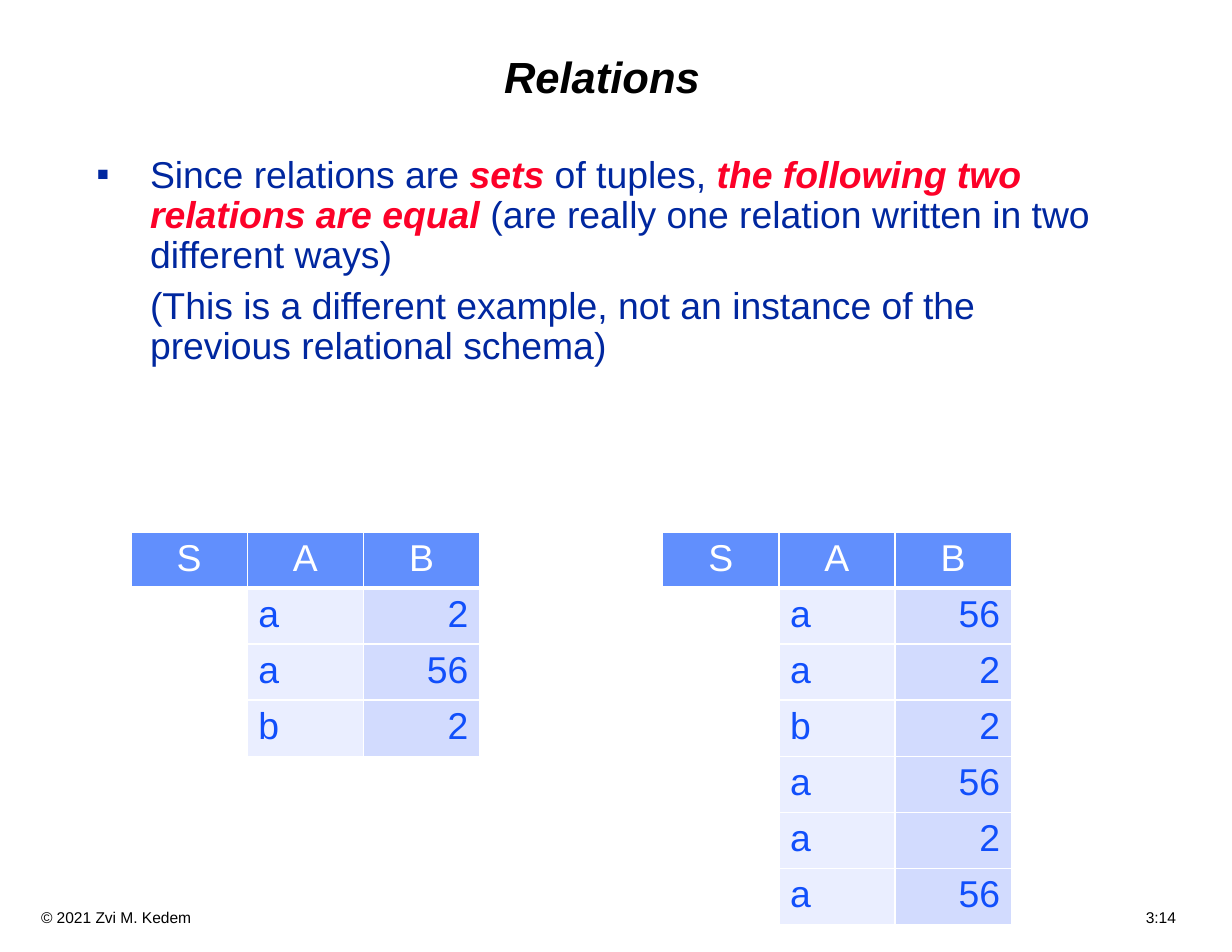
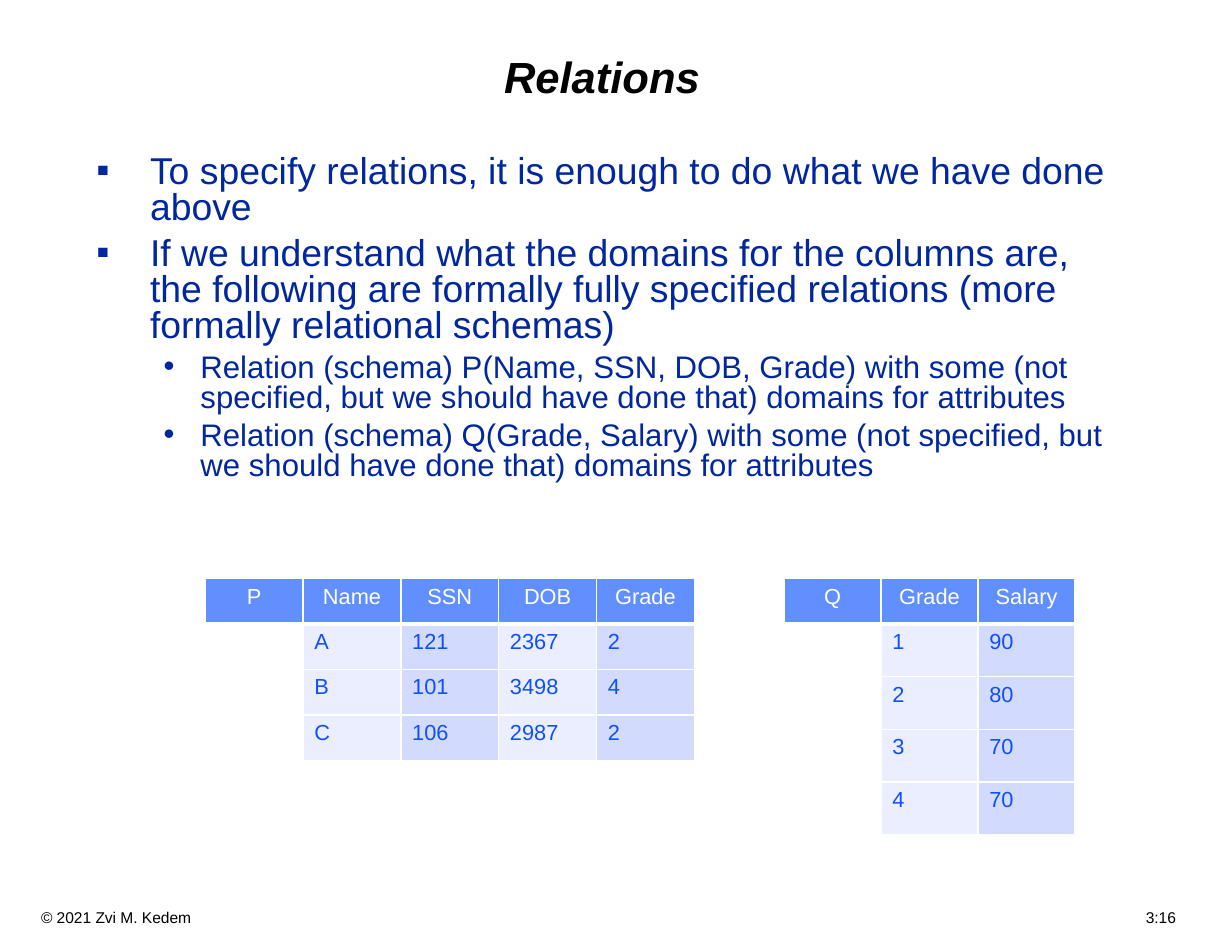
from pptx import Presentation
from pptx.dml.color import RGBColor as RGB
from pptx.enum.text import MSO_ANCHOR as Anchor, MSO_AUTO_SIZE as Auto, PP_ALIGN as Align
from pptx.oxml.ns import qn
from pptx.util import Pt
from lxml.etree import SubElement as Sub

HUES = {"black": "000000", "white": "FFFFFF", "navy": "00279F", "red": "FC0128",
        "head": "618FFD", "cell": "114FFB", "pale": "EAEEFF", "band": "D2DBFE"}
FRAME = {"margin_left": Pt(7.92), "margin_right": Pt(7.92), "margin_top": Pt(4.32),
         "margin_bottom": Pt(4.32), "word_wrap": True, "auto_size": Auto.NONE}

# kind of paragraph: level, left margin, indent, bullet, size
KINDS = {"main": (0, 34.56, -34.56, "▪", 24),
         "plain": (0, 34.56, 0, None, 24),
         "sub": (1, 66.96, -23.76, "•", 20)}

SLIDES = [
    {"page": "3:14", "lead": 0.9, "size": 24,
     "body": [
         ("main", ["Since relations are ", "*sets", " of tuples, ",
                   "*the following two relations are equal",
                   " (are really one relation written in two different ways)"]),
         ("plain", ["(This is a different example, not an instance of the "
                    "previous relational schema)"])],
     "top": 342, "right": 2,
     "tables": [
         (84.24, 74.7, 29.2, ["S A B", "a 2", "a 56", "b 2"]),
         (426, 74.7, 29.2, ["S A B", "a 56", "a 2", "b 2", "a 56", "a 2", "a 56"])]},
    {"page": "3:16", "lead": 0.8, "size": 14,
     "body": [
         ("main", ["To specify relations, it is enough to do what we have done above"]),
         ("main", ["If we understand what the domains for the columns are, the following "
                   "are formally fully specified relations (more formally relational schemas)"]),
         ("sub", ["Relation (schema) P(Name, SSN, DOB, Grade) with some (not specified, "
                  "but we should have done that) domains for attributes"]),
         ("sub", ["Relation (schema) Q(Grade, Salary) with some (not specified, "
                  "but we should have done that) domains for attributes"])],
     "top": 372, "right": None,
     "tables": [
         (132, 62.9, 29.2, ["P Name SSN DOB Grade", "A 121 2367 2", "B 101 3498 4",
                            "C 106 2987 2"]),
         (504, 62.4, 33.9, ["Q Grade Salary", "1 90", "2 80", "3 70", "4 70"])]},
]


def style(font, size, hue, bold=False, slant=False):
    vals = {"name": "Arial", "size": Pt(size), "bold": bold, "italic": slant}
    for key, val in vals.items():
        setattr(font, key, val)
    font.color.rgb = RGB.from_string(HUES[hue])


def place(shape, left, top, width, height):
    """Move a placeholder and give its text frame the shared insets."""
    box = {"left": left, "top": top, "width": width, "height": height}
    for key, val in box.items():
        setattr(shape, key, Pt(val))
    for key, val in FRAME.items():
        setattr(shape.text_frame, key, val)
    return shape.text_frame


deck = Presentation()
deck.slide_width, deck.slide_height = Pt(792), Pt(612)

for data in SLIDES:
    slide = deck.slides.add_slide(deck.slide_layouts[1])

    # Footer: copyright at the left, page number on a right tab
    foot = slide.shapes.add_textbox(0, Pt(580.3), Pt(792), Pt(19.4)).text_frame
    foot.word_wrap = True
    foot.margin_left = Pt(26.4)
    para = foot.paragraphs[0]
    tabs = Sub(para._p.get_or_add_pPr(), qn("a:tabLst"))
    Sub(tabs, qn("a:tab"), pos=str(Pt(729.6)), algn="r")
    run = para.add_run()
    run.text = f"© 2021 Zvi M. Kedem\t{data['page']}"
    style(run.font, 10, "black")

    # Title
    title = place(slide.shapes.title, 54, 18, 666, 66.24)
    title.vertical_anchor = Anchor.MIDDLE
    para = title.paragraphs[0]
    para.alignment, para.line_spacing = Align.CENTER, 0.9
    run = para.add_run()
    run.text = "Relations"
    style(run.font, 28, "black", True, True)

    # Body
    body = place(slide.placeholders[1], 54, 96, 672, 480)
    body.vertical_anchor = Anchor.TOP
    for i, (kind, parts) in enumerate(data["body"]):
        level, left, indent, mark, size = KINDS[kind]
        para = body.add_paragraph() if i else body.paragraphs[0]
        para.level = level
        props = para._p.get_or_add_pPr()
        props.set("marL", str(Pt(left)))
        props.set("indent", str(Pt(indent)))
        if mark:
            Sub(Sub(props, qn("a:buClr")), qn("a:srgbClr"), val=HUES["navy"])
            Sub(props, qn("a:buFont"), typeface="Arial")
            Sub(props, qn("a:buChar"), char=mark)
        else:
            Sub(props, qn("a:buNone"))
        para.line_spacing = data["lead"]
        para.space_before = Pt(round(0.28 * size, 1) if i else 0)
        for part in parts:
            hot = part.startswith("*")
            run = para.add_run()
            run.text = part.lstrip("*")
            style(run.font, size, "red" if hot else "navy", hot, hot)

    # Tables: the relation's name stands in the header of an empty first column
    for left, width, height, lines in data["tables"]:
        rows = [lines[0].split()] + [[""] + line.split() for line in lines[1:]]
        count = len(rows[0])
        high = 29.2 + height * (len(rows) - 1)
        table = slide.shapes.add_table(len(rows), count, Pt(left), Pt(data["top"]),
                                       Pt(width * count), Pt(high)).table
        for col in table.columns:
            col.width = Pt(width)
        for r, row in enumerate(rows):
            table.rows[r].height = Pt(height if r else 29.2)
            for c, text in enumerate(row):
                cell = table.cell(r, c)
                props = cell._tc.get_or_add_tcPr()
                for side in "LRTB":
                    thick = 3 if r == 0 and side == "B" else 1
                    line = Sub(props, qn(f"a:ln{side}"), w=str(Pt(thick)))
                    Sub(Sub(line, qn("a:solidFill")), qn("a:srgbClr"), val=HUES["white"])
                tint = "head" if r == 0 else ("white", "pale", "band")[c and 2 - c % 2]
                cell.fill.solid()
                cell.fill.fore_color.rgb = RGB.from_string(HUES[tint])
                if text:
                    para = cell.text_frame.paragraphs[0]
                    para.alignment = (Align.CENTER if r == 0 else
                                      Align.RIGHT if c == data["right"] else Align.LEFT)
                    run = para.add_run()
                    run.text = text
                    style(run.font, data["size"], "cell" if r else "white")

deck.save("out.pptx")
